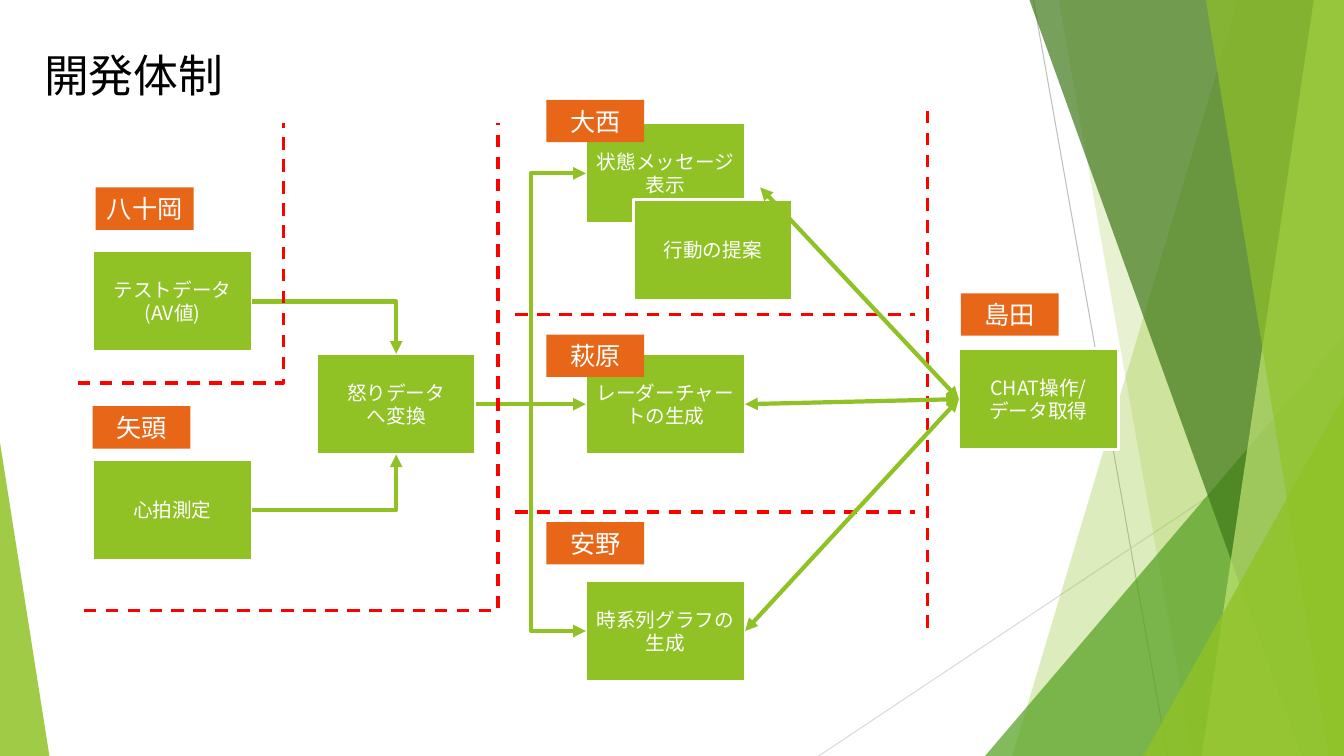
import pptx
import pptx.util
import pptx.dml.color
import pptx.enum.shapes
import pptx.enum.text
import pptx.oxml
import pptx.oxml.ns
from dataclasses import dataclass

Inches = pptx.util.Inches
Pt = pptx.util.Pt
SHAPE = pptx.enum.shapes.MSO_SHAPE
CONNECTOR = pptx.enum.shapes.MSO_CONNECTOR
TOP, LEFT, BOTTOM, RIGHT = range(4)


@dataclass(frozen=True)
class Theme:
    """Colours, font and type sizes of the slide."""
    green: str = "90C226"
    leaf: str = "54A021"
    forest: str = "3F7819"
    lime: str = "C0E474"
    orange: str = "E76618"
    red: str = "FF0000"
    white: str = "FFFFFF"
    black: str = "000000"
    grey: str = "BFBFBF"
    pale_grey: str = "D9D9D9"
    font: str = "Noto Sans CJK JP"
    title: int = 32
    name: int = 18
    task: int = 14


THEME = Theme()


def rgb(code):
    """Return a colour object for a hex code."""
    return pptx.dml.color.RGBColor.from_string(code)


def apply(obj, values):
    """Set each attribute in values on obj."""
    for key, value in values.items():
        setattr(obj, key, value)


def add_xml(parent, tag, **attrs):
    """Append a drawing element with attributes to parent."""
    el = pptx.oxml.parse_xml(f"<a:{tag} {pptx.oxml.ns.nsdecls('a')}/>")
    for key, value in attrs.items():
        el.set(key, value)
    parent.append(el)


def paint(sp, color, alpha=100):
    """Fill a shape without outline or shadow."""
    sp.shadow.inherit = False
    sp.fill.solid()
    sp.fill.fore_color.rgb = rgb(color)
    sp.line.fill.background()
    if alpha < 100:
        clr = sp._element.spPr.find(".//" + pptx.oxml.ns.qn("a:srgbClr"))
        add_xml(clr, "alpha", val=str(alpha * 1000))


def write(tf, text, size, color, align):
    """Write one paragraph per line of text."""
    for i, line in enumerate(text.split("\n")):
        p = tf.add_paragraph() if i else tf.paragraphs[0]
        p.alignment = align
        r = p.add_run()
        r.text = line
        apply(r.font, {"size": Pt(size), "name": THEME.font})
        r.font.color.rgb = rgb(color)
        add_xml(r._r.get_or_add_rPr(), "ea", typeface=THEME.font)


def add_facet(s, points, color, alpha):
    """Draw a translucent polygon."""
    pts = [(Inches(x), Inches(y)) for x, y in points]
    builder = s.shapes.build_freeform(*pts[0], scale=1.0)
    builder.add_line_segments(pts[1:], close=True)
    paint(builder.convert_to_shape(), color, alpha)


def add_triangle(s, box, apex, color, alpha):
    """Draw a translucent triangle with its apex at a share of the width."""
    sp = s.shapes.add_shape(SHAPE.ISOSCELES_TRIANGLE, *map(Inches, box))
    sp.adjustments[0] = apex
    paint(sp, color, alpha)


def add_block(s, box, text, size, color):
    """Draw a filled rectangle with centred white text."""
    sp = s.shapes.add_shape(SHAPE.RECTANGLE, *map(Inches, box))
    paint(sp, color)
    apply(sp.text_frame, {"word_wrap": True,
                          "vertical_anchor": pptx.enum.text.MSO_ANCHOR.MIDDLE})
    write(sp.text_frame, text, size, THEME.white, pptx.enum.text.PP_ALIGN.CENTER)
    return sp


def add_task(s, left, top, text):
    """Draw a task box with a white outline."""
    sp = add_block(s, (left, top, 1.55 + 0.03, 1), text, THEME.task, THEME.green)
    sp.line.color.rgb = rgb(THEME.white)
    sp.line.width = Pt(2)
    return sp


def add_line(s, start, end, color, width, preset="line", dash=False, arrows=()):
    """Draw a connector between points or (shape, site) pairs."""
    kind = CONNECTOR.STRAIGHT if preset == "line" else CONNECTOR.ELBOW
    ends = [(0, 0) if hasattr(e[0], "shape_id") else e for e in (start, end)]
    sp = s.shapes.add_connector(kind, *[Inches(v) for e in ends for v in e])
    for target, connect in ((start, sp.begin_connect), (end, sp.end_connect)):
        if hasattr(target[0], "shape_id"):
            connect(*target)
    sp._element.spPr.prstGeom.set("prst", preset)
    sp.line.color.rgb = rgb(color)
    sp.line.width = Pt(width)
    if dash:
        sp.line.dash_style = pptx.enum.dml.MSO_LINE.DASH
    for tag in arrows:
        add_xml(sp.line._get_or_add_ln(), tag, type="triangle")
    add_xml(sp._element.spPr, "effectLst")


def add_backdrop(s):
    """Draw the faceted decoration on both sides."""
    t = THEME
    add_line(s, (10.25, 0), (11.58, 7.5), t.grey, 0.75)
    add_line(s, (13.33, 4.03), (8.12, 7.5), t.pale_grey, 0.75)
    facets = [(12.28, 10.04, t.green, 30), (10.5, 11.83, t.green, 20), None,
              (10.21, 12.91, t.forest, 70), (13.03, 11.92, t.lime, 70),
              (11.96, 13.18, t.green, 65)]
    for facet in facets:
        if facet is None:
            add_triangle(s, (9.77, 3.33, 3.56, 4.17), 1, t.leaf, 72)
            continue
        top, bottom, color, alpha = facet
        add_facet(s, [(top, 0), (13.33, 0), (13.33, 7.5), (bottom, 7.5)], color, alpha)
    add_triangle(s, (11.34, 3.93, 1.99, 3.57), 1, t.green, 80)
    add_triangle(s, (0, 4.39, 0.49, 3.11), 0, t.green, 85)


def add_title(s, text):
    """Write the slide title."""
    tf = s.shapes.add_textbox(*map(Inches, (0.34, 0.42, 2, 0.64))).text_frame
    apply(tf, {"word_wrap": False,
               "auto_size": pptx.enum.text.MSO_AUTO_SIZE.SHAPE_TO_FIT_TEXT})
    write(tf, text, THEME.title, THEME.black, pptx.enum.text.PP_ALIGN.LEFT)


def main():
    """Build the development structure slide."""
    prs = pptx.Presentation()
    apply(prs, {"slide_width": Inches(13.33), "slide_height": Inches(7.5)})
    s = prs.slides.add_slide(prs.slide_layouts[6])
    add_backdrop(s)
    add_title(s, "開発体制")

    test = add_task(s, 0.92, 2.49, "テストデータ\n(AV値)")
    pulse = add_task(s, 0.92, 4.56, "心拍測定")
    message = add_task(s, 5.81, 1.22, "状態メッセージ表示")
    radar = add_task(s, 5.81, 3.51, "レーダーチャートの生成")
    anger = add_task(s, 3.14, 3.51, "怒りデータ\nへ変換")
    series = add_task(s, 5.81, 5.76, "時系列グラフの生成")
    add_task(s, 6.28, 1.98, "行動の提案")
    chat = add_task(s, 9.51, 3.46, "CHAT操作/\nデータ取得")

    flows = [((test, RIGHT), (anger, TOP), "bentConnector2"),
             ((pulse, RIGHT), (anger, BOTTOM), "bentConnector2")]
    flows += [((anger, RIGHT), (sp, LEFT), "bentConnector3") for sp in (message, series)]
    flows.append(((anger, RIGHT), (radar, LEFT), "line"))
    for start, end, preset in flows:
        add_line(s, start, end, THEME.green, 3, preset, arrows=["tailEnd"])

    for corner in [((0.77, 3.8), (2.81, 1.22)), ((0.83, 6.06), (4.94, 1.22))]:
        add_line(s, *corner, THEME.red, 2.25, "bentConnector2", dash=True)
    for start, end in [((5.11, 3.12), (9.08, 3.12)), ((5.11, 5.08), (9.08, 5.08)),
                       ((9.2, 6.23), (9.2, 1.08))]:
        add_line(s, start, end, THEME.red, 2.25, dash=True)
    for start in [(radar, RIGHT), (series, RIGHT), (7.54, 1.86)]:
        add_line(s, start, (chat, LEFT), THEME.green, 3, arrows=["headEnd", "tailEnd"])

    names = [(0.95, 1.86, "八十岡"), (0.92, 4.03, "矢頭"), (5.42, 5.18, "安野"),
             (5.42, 3.32, "萩原"), (5.42, 0.99, "大西"), (9.53, 2.91, "島田")]
    for left, top, name in names:
        add_block(s, (left, top, 0.97, 0.42), name, THEME.name, THEME.orange)

    prs.save("out.pptx")


if __name__ == "__main__":
    main()
